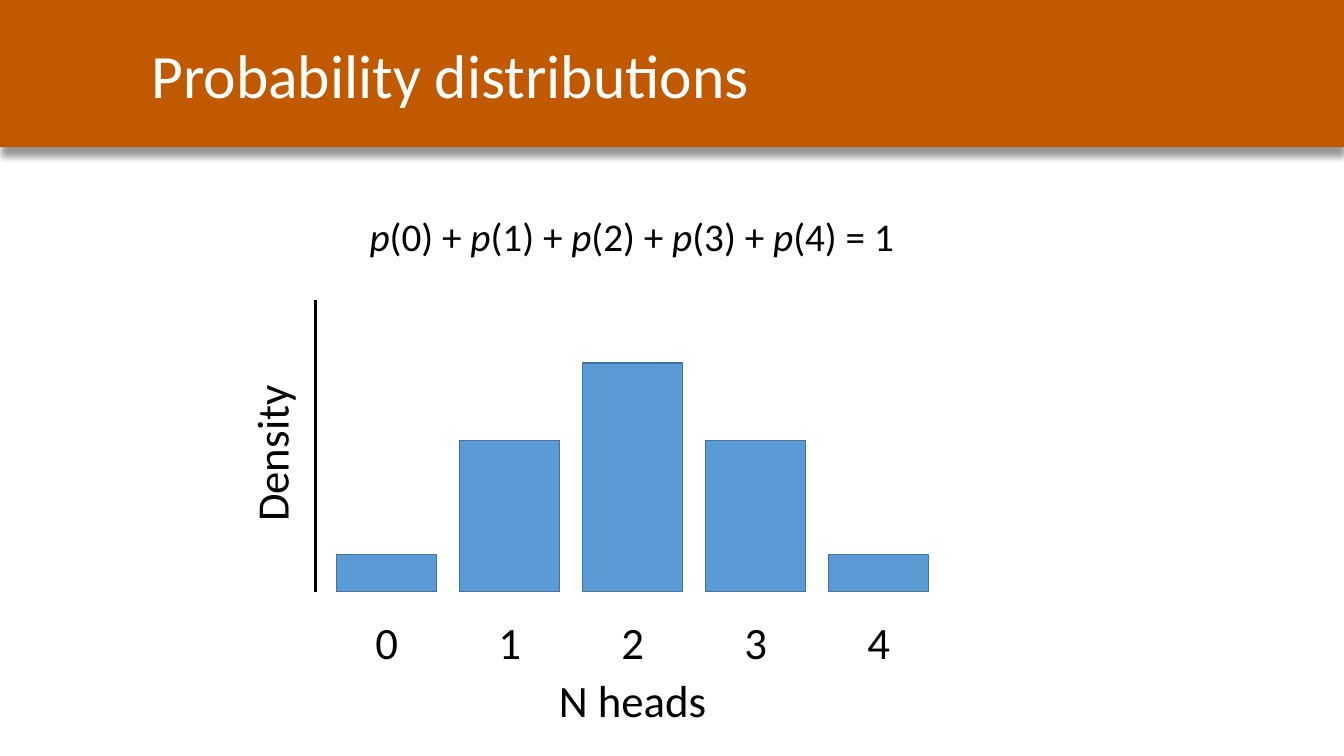
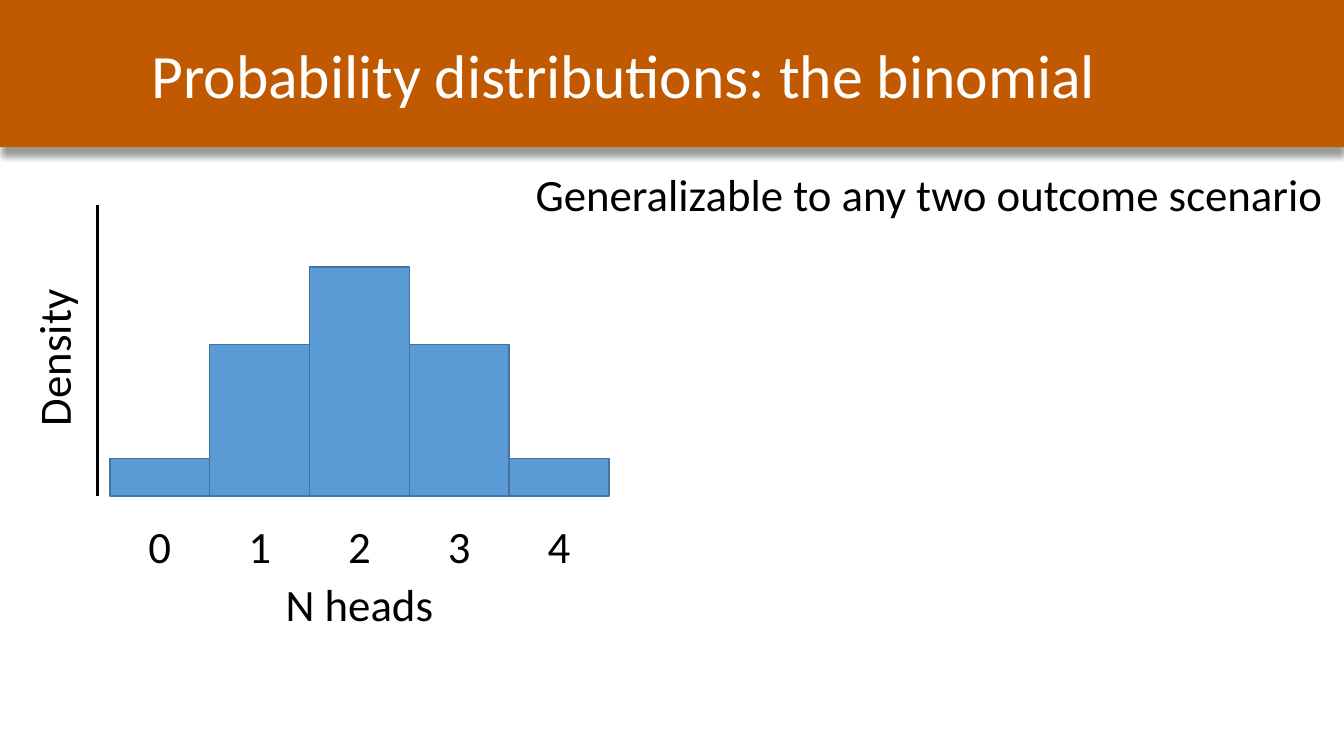
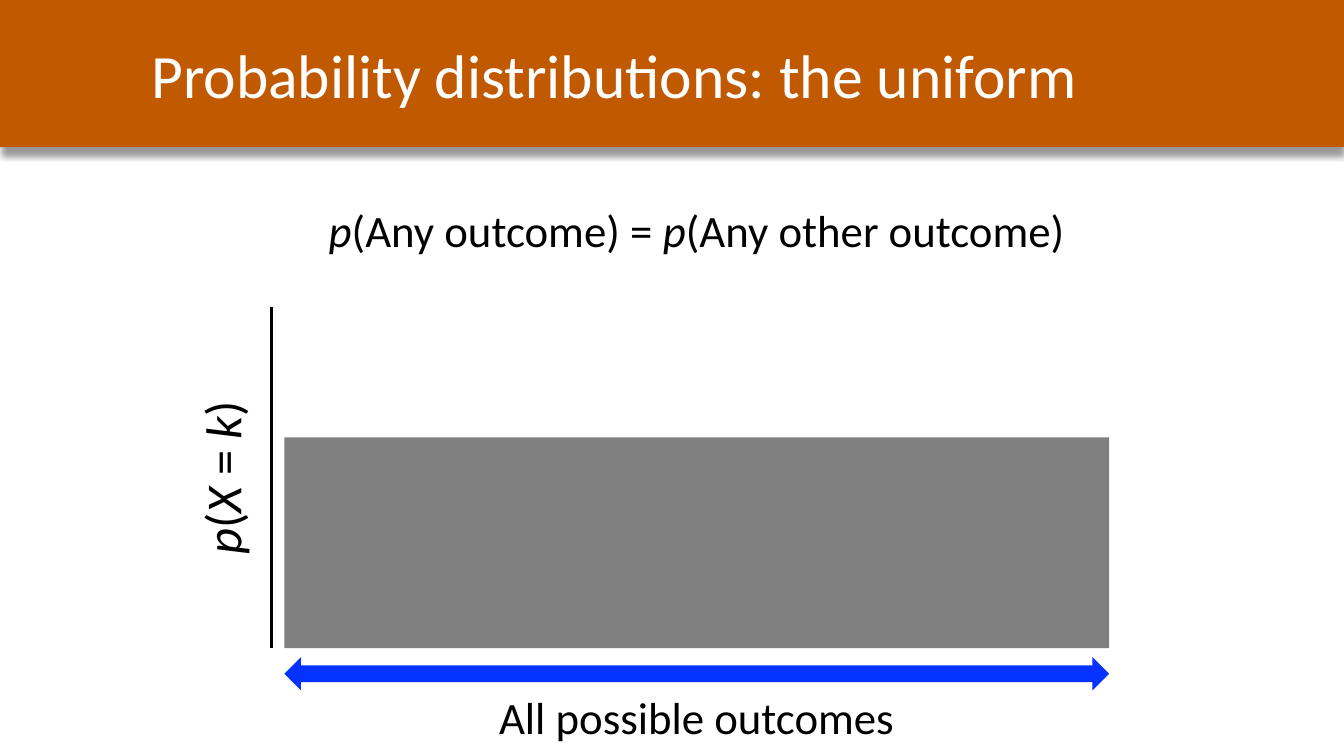
from lxml.etree import SubElement
from pptx import Presentation
from pptx.dml.color import RGBColor
from pptx.enum.shapes import MSO_CONNECTOR, MSO_SHAPE
from pptx.enum.text import MSO_ANCHOR, MSO_AUTO_SIZE, PP_ALIGN
from pptx.oxml.ns import qn
from pptx.util import Inches, Pt

ORANGE = RGBColor(0xC1, 0x59, 0x00)
BAR_BLUE = RGBColor(0x5B, 0x9B, 0xD5)
BAR_EDGE = RGBColor(0x43, 0x73, 0x9E)
ARROW_BLUE = RGBColor(0x04, 0x32, 0xFF)
GRAY = RGBColor(0x80, 0x80, 0x80)
BLACK = RGBColor(0, 0, 0)
WHITE = RGBColor(0xFF, 0xFF, 0xFF)

FONT = "Calibri"
TITLE_ONLY = 5
SLIDE_WIDTH = 13.33
BAR_WIDTH = 0.99
BAR_HEIGHTS = [0.37, 1.5, 2.27, 1.5, 0.37]


class Deck:
    """Holds the shared style and the slide being filled."""

    def __init__(self):
        self.presentation = Presentation()
        self.presentation.slide_width = Inches(SLIDE_WIDTH)
        self.presentation.slide_height = Inches(7.5)
        self.slide = None

    def start_slide(self, title_text):
        layout = self.presentation.slide_layouts[TITLE_ONLY]
        self.slide = self.presentation.slides.add_slide(layout)
        title = self.slide.shapes.title
        title.left, title.top = Inches(1.4), Inches(0.12)
        title.width, title.height = Inches(11.93), Inches(1.22)
        title.text_frame.auto_size = MSO_AUTO_SIZE.NONE
        title.text_frame.vertical_anchor = MSO_ANCHOR.MIDDLE
        self.fill_text(title.text_frame, title_text, 44, WHITE, PP_ALIGN.LEFT)

        band = self.block(0, 0, SLIDE_WIDTH, 1.46, ORANGE)
        self.drop_shadow(band)
        title.element.addprevious(band.element)

    def drop_shadow(self, shape):
        effects = shape.element.spPr.find(qn("a:effectLst"))
        shadow = SubElement(effects, qn("a:outerShdw"), blurRad=str(Pt(4)),
                            dist=str(Pt(6)), dir="5400000", rotWithShape="0")
        color = SubElement(shadow, qn("a:srgbClr"), val=str(BLACK))
        SubElement(color, qn("a:alpha"), val="40000")

    def fill_text(self, text_frame, text, size, color, align):
        """Fill the first paragraph; parts between asterisks become italic."""
        paragraph = text_frame.paragraphs[0]
        paragraph.alignment = align
        for index, part in enumerate(text.split("*")):
            if part:
                run = paragraph.add_run()
                run.text = part
                run.font.name = FONT
                run.font.size = Pt(size)
                run.font.color.rgb = color
                run.font.italic = index % 2 == 1

    def label(self, text, left, top, width, height=0.64, size=32,
              align=PP_ALIGN.CENTER):
        box = self.slide.shapes.add_textbox(
            Inches(left), Inches(top), Inches(width), Inches(height))
        box.text_frame.word_wrap = True
        self.fill_text(box.text_frame, text, size, BLACK, align)
        return box

    def vertical_label(self, text, center_x, center_y, width, height=0.64, size=32):
        box = self.label(text, center_x - width / 2, center_y - height / 2,
                         width, height, size)
        box.rotation = 270

    def block(self, left, top, width, height, fill, edge=None,
              preset=MSO_SHAPE.RECTANGLE):
        shape = self.slide.shapes.add_shape(
            preset, Inches(left), Inches(top), Inches(width), Inches(height))
        shape.shadow.inherit = False
        shape.fill.solid()
        shape.fill.fore_color.rgb = fill
        if edge is None:
            shape.line.fill.background()
        else:
            shape.line.color.rgb = edge
            shape.line.width = Pt(1)
        return shape

    def vertical_axis(self, x, bottom, height):
        axis = self.slide.shapes.add_connector(
            MSO_CONNECTOR.STRAIGHT, Inches(x), Inches(bottom),
            Inches(x), Inches(bottom - height))
        axis.line.color.rgb = BLACK
        axis.line.width = Pt(2.25)
        SubElement(axis.element.spPr, qn("a:effectLst"))

    def histogram(self, left, bottom, pitch, axis_gap):
        """Draw the head counts; pitch is the distance between bar starts."""
        for count, height in enumerate(BAR_HEIGHTS):
            bar_left = left + count * pitch
            self.block(bar_left, bottom - height, BAR_WIDTH, height,
                       BAR_BLUE, BAR_EDGE)
            self.label(str(count), bar_left, bottom + 0.18, BAR_WIDTH)
        axis_x = left - axis_gap
        self.vertical_axis(axis_x, bottom, 2.89)
        self.vertical_label("Density", axis_x - 0.44, bottom - 1.37, 3.06)
        total_width = (len(BAR_HEIGHTS) - 1) * pitch + BAR_WIDTH
        self.label("N heads", left, bottom + 0.75, total_width)


def build_distribution(deck):
    deck.start_slide("Probability distributions")
    deck.label("*p*(0) + *p*(1) + *p*(2) + *p*(3) + *p*(4) = 1",
               3.34, 2.06, 5.85, 0.57, 28)
    deck.histogram(left=3.34, bottom=5.87, pitch=1.22, axis_gap=0.21)


def build_binomial(deck):
    deck.start_slide("Probability distributions: the binomial")
    deck.histogram(left=1.09, bottom=4.92, pitch=BAR_WIDTH, axis_gap=0.12)
    deck.label("Generalizable to any two outcome scenario",
               5.04, 1.61, 8.18, align=PP_ALIGN.RIGHT)


def build_uniform(deck):
    left, width, bottom = 2.82, 8.18, 6.43
    deck.start_slide("Probability distributions: the uniform")
    deck.label("*p*(Any outcome) = *p*(Any other outcome)", left, 1.96, width)
    deck.block(left, bottom - 2.09, width, 2.09, GRAY)
    deck.vertical_axis(2.69, bottom, 3.38)
    deck.vertical_label("*p*(*X* = *k*)", 2.2, bottom - 1.69, 3.37, 0.71, 36)
    deck.block(left, 6.52, width, 0.33, ARROW_BLUE,
               preset=MSO_SHAPE.LEFT_RIGHT_ARROW)
    deck.label("All possible outcomes", left, 6.79, width)


def main():
    deck = Deck()
    build_distribution(deck)
    build_binomial(deck)
    build_uniform(deck)
    deck.presentation.save("out.pptx")


if __name__ == "__main__":
    main()
